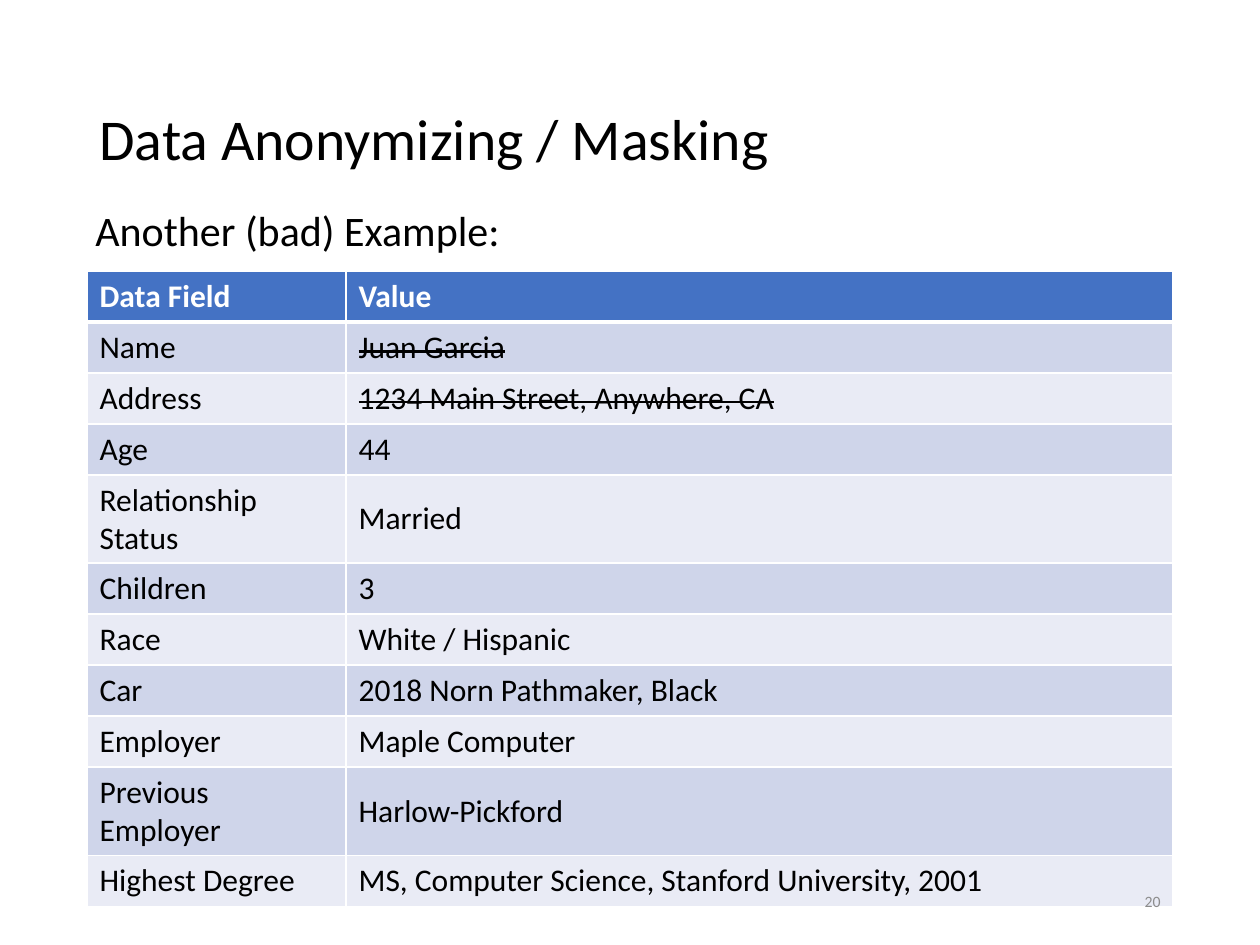
from lxml import etree
from pptx import Presentation
from pptx.dml.color import RGBColor
from pptx.enum.text import MSO_ANCHOR, PP_ALIGN
from pptx.oxml.ns import qn
from pptx.util import Emu, Pt

LEFT, RIGHT = PP_ALIGN.LEFT, PP_ALIGN.RIGHT
TOP, MIDDLE = MSO_ANCHOR.TOP, MSO_ANCHOR.MIDDLE

PX = 914400 // 126
FONT = "Calibri"
BLACK, WHITE, GRAY = "000000", "FFFFFF", "8C8C8C"
HEADER_FILL = "4472C4"
BAND_FILLS = ("CFD5EA", "E9EBF5")

TITLE = "Data Anonymizing / Masking"
SUBTITLE = "Another (bad) Example:"
PAGE_NUMBER = "20"
HEADERS = ("Data Field", "Value")
RECORD = [
    ("Name", "Juan Garcia"),
    ("Address", "1234 Main Street, Anywhere, CA"),
    ("Age", "44"),
    ("Relationship Status", "Married"),
    ("Children", "3"),
    ("Race", "White / Hispanic"),
    ("Car", "2018 Norn Pathmaker, Black"),
    ("Employer", "Maple Computer"),
    ("Previous Employer", "Harlow-Pickford"),
    ("Highest Degree", "MS, Computer Science, Stanford University, 2001"),
]
MASKED_FIELDS = {"Name", "Address"}

TABLE_LEFT, TABLE_TOP = 87, 271
COLUMN_WIDTHS = (259, 827)
ROW_HEIGHT = 51
THIN, THICK = 1, 3


def px(length):
    return Emu(length * PX)


def color(value):
    return RGBColor.from_string(value)


def format_font(font, size, font_color, bold=False):
    font.name = FONT
    font.size = Pt(size)
    font.bold = bold
    font.color.rgb = color(font_color)


def add_text(slide, text, box, size, font_color=BLACK, anchor=MIDDLE,
             align=LEFT, wrap=True, line_spacing=None):
    shape = slide.shapes.add_textbox(*map(px, box))
    text_frame = shape.text_frame
    text_frame.text = text
    text_frame.word_wrap = wrap
    text_frame.vertical_anchor = anchor
    paragraph = text_frame.paragraphs[0]
    paragraph.alignment = align
    paragraph.line_spacing = line_spacing
    format_font(paragraph.runs[0].font, size, font_color)


def set_borders(cell, top, bottom):
    """Draw white borders; call before the fill, which must follow them in the XML."""
    properties = cell._tc.get_or_add_tcPr()
    widths = {"a:lnL": THIN, "a:lnR": THIN, "a:lnT": top, "a:lnB": bottom}
    for tag, width in widths.items():
        line = etree.SubElement(properties, qn(tag), w=str(Pt(width)))
        fill = etree.SubElement(line, qn("a:solidFill"))
        etree.SubElement(fill, qn("a:srgbClr"), val=WHITE)


def fill_cell(cell, text, row, masked):
    header = row == 0
    cell.text = text
    cell.vertical_anchor = MIDDLE
    set_borders(cell, THICK if row == 1 else THIN, THICK if header else THIN)
    cell.fill.solid()
    cell.fill.fore_color.rgb = color(HEADER_FILL if header else BAND_FILLS[(row - 1) % 2])
    font = cell.text_frame.paragraphs[0].runs[0].font
    format_font(font, 18, WHITE if header else BLACK, bold=header)
    if masked:
        font._element.set("strike", "sngStrike")


def add_record_table(slide):
    rows = [HEADERS, *RECORD]
    table = slide.shapes.add_table(
        len(rows), len(HEADERS), px(TABLE_LEFT), px(TABLE_TOP),
        px(sum(COLUMN_WIDTHS)), px(ROW_HEIGHT * len(rows))).table
    for column, width in zip(table.columns, COLUMN_WIDTHS):
        column.width = px(width)
    for row, (field, value) in enumerate(rows):
        table.rows[row].height = px(ROW_HEIGHT)
        fill_cell(table.cell(row, 0), field, row, masked=False)
        fill_cell(table.cell(row, 1), value, row, masked=field in MASKED_FIELDS)


def main():
    presentation = Presentation()
    presentation.slide_width, presentation.slide_height = px(1260), px(945)
    slide = presentation.slides.add_slide(presentation.slide_layouts[6])
    add_text(slide, TITLE, (87, 50, 1086, 183), 33, line_spacing=0.9)
    add_record_table(slide)
    add_text(slide, PAGE_NUMBER, (890, 876, 283, 50), 9, GRAY, align=RIGHT)
    add_text(slide, SUBTITLE, (83, 198, 433, 63), 24, anchor=TOP, wrap=False)
    presentation.save("out.pptx")


if __name__ == "__main__":
    main()
